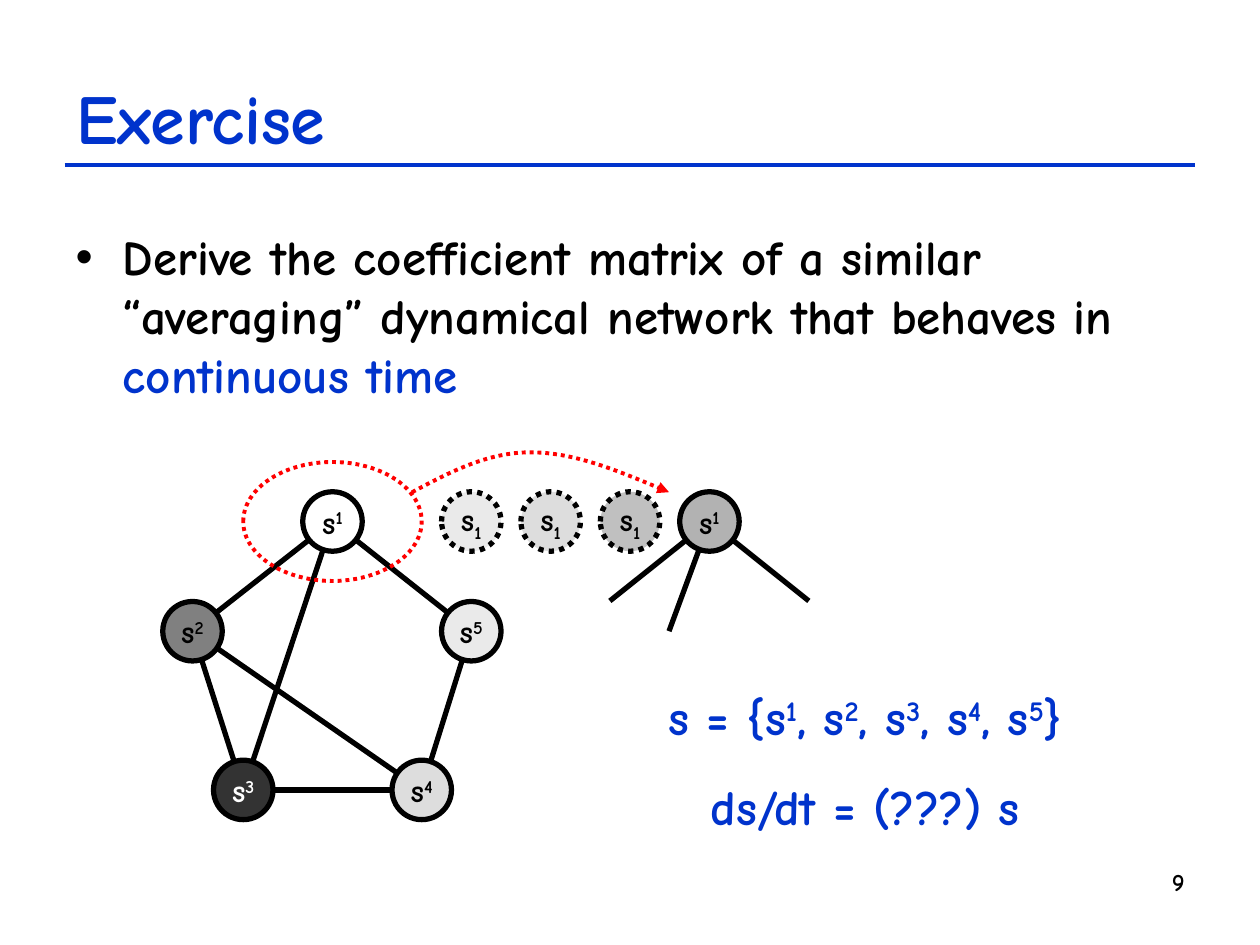
"""Build the exercise slide on a continuous-time averaging network."""
from lxml import etree
from pptx import Presentation
from pptx.dml.color import RGBColor
from pptx.enum.dml import MSO_LINE
from pptx.enum.shapes import MSO_CONNECTOR, MSO_SHAPE
from pptx.enum.text import MSO_ANCHOR, MSO_AUTO_SIZE, PP_ALIGN
from pptx.oxml.ns import qn
from pptx.util import Pt

LINE = MSO_CONNECTOR.STRAIGHT
OVAL = MSO_SHAPE.OVAL
DOTS = MSO_LINE.ROUND_DOT
MID = MSO_ANCHOR.MIDDLE
FIXED = MSO_AUTO_SIZE.NONE
LEFT, CENTER, RIGHT = PP_ALIGN.LEFT, PP_ALIGN.CENTER, PP_ALIGN.RIGHT

HUES = {"blue": "0033CC", "black": "000000", "white": "FFFFFF", "red": "FF0000",
        "coal": "333333", "gray": "808080", "ash": "B2B2B2", "silver": "C0C0C0",
        "pale": "DDDDDD", "mist": "EAEAEA"}
RGB = {name: RGBColor.from_string(code) for name, code in HUES.items()}
SIZE = 34


def write(para, parts, size, hue, align):
    """Fill a paragraph with (text, baseline percent) parts."""
    para.alignment = align
    font = para.font
    font.name, font.size, font.bold = "Comic Neue", Pt(size), True
    font.color.rgb = RGB[hue]
    for text, base in parts:
        run = para.add_run()
        run.text = text
        if base:
            run._r.get_or_add_rPr().set("baseline", str(base * 1000))


def join(shapes, start, end, hue="black", width=3):
    """Draw a straight line between two points."""
    link = shapes.add_connector(LINE, *map(Pt, start + end))
    link.line.color.rgb = RGB[hue]
    link.line.width = Pt(width)
    etree.SubElement(link._element.spPr, qn("a:effectLst"))


deck = Presentation()
deck.slide_width, deck.slide_height = Pt(720), Pt(540)
slide = deck.slides.add_slide(deck.slide_layouts[1])
shapes = slide.shapes
title, body = slide.placeholders

for box, place in ((title, (36.5, 21.5, 647, 90)), (body, (36, 126, 648, 356.5))):
    box.left, box.top, box.width, box.height = map(Pt, place)
    box.text_frame.auto_size = FIXED
title.text_frame.vertical_anchor = MID
write(title.text_frame.paragraphs[0], [("Exercise", 0)], 40, "blue", LEFT)
task = body.text_frame.paragraphs[0]
task.space_before = Pt(7)
write(task, [("Derive the coefficient matrix of a similar “averaging” dynamical "
              "network that behaves in ", 0), ("continuous time", 0)], 28, "black", LEFT)
task.runs[1].font.color.rgb = RGB["blue"]
join(shapes, (37, 94.5), (683, 94.5), "blue", 2.25)

page = shapes.add_textbox(Pt(615), Pt(492), Pt(69), Pt(37)).text_frame
page.word_wrap = True
write(page.paragraphs[0], [("9", 0)], 14, "black", RIGHT)

state = [("s = {s", 0)]
for num in range(1, 6):
    state += [(str(num), 30), (", s" if num < 5 else "}", 0)]
math = shapes.add_textbox(Pt(314.5), Pt(389), Pt(360), Pt(92)).text_frame
math.word_wrap = True
for para, parts in ((math.paragraphs[0], state),
                    (math.add_paragraph(), [("ds/dt = (???) s", 0)])):
    para.space_before = Pt(17.5)
    write(para, parts, 28, "blue", CENTER)

spots = {1: (190, 298), 2: (110, 360.7), 3: (139, 451.4), 4: (241, 451.4), 5: (269.3, 360.7)}
fills = {1: "white", 2: "gray", 3: "coal", 4: "pale", 5: "mist"}
edges = [(2, 1), (5, 1), (2, 3), (5, 4), (3, 4), (1, 3), (2, 4)]
hub = (405.4, 298)
group = shapes.add_group_shape().shapes

for one, two in edges:
    join(shapes, spots[one], spots[two])
for end in ((348.5, 343.4), (462.2, 343.4), (382.3, 360.7)):
    join(group, hub, end)

ghosts = [(shapes, (hub[0] - 45.36 * step, hub[1]), hue, 1, True)
          for step, hue in enumerate(("silver", "pale", "mist"), 1)]
nodes = [(shapes, spots[num], fills[num], num, False) for num in spots]
for home, (x, y), hue, num, ghost in ghosts + nodes + [(group, hub, "ash", 1, False)]:
    node = home.add_shape(OVAL, Pt(x - SIZE / 2), Pt(y - SIZE / 2), Pt(SIZE), Pt(SIZE))
    node.shadow.inherit = False
    node.fill.solid()
    node.fill.fore_color.rgb = RGB[hue]
    node.line.color.rgb = RGB["black"]
    node.line.width = Pt(3)
    if ghost:
        node.line.dash_style = DOTS
    frame = node.text_frame
    frame.word_wrap = False
    frame.vertical_anchor = MID
    ink = "white" if hue == "coal" else "black"
    write(frame.paragraphs[0], [("s", 0), (str(num), -25 if ghost else 30)], 18, ink, CENTER)

ring = shapes.add_shape(OVAL, Pt(139), Pt(264), Pt(102), Pt(68))
pen = group.build_freeform(Pt(235.5), Pt(281.3))
pen.add_line_segments([(Pt(x), Pt(y)) for x, y in (
    (257, 269.8), (278.6, 258.5), (303, 258.5),
    (327.6, 258.5), (355, 269.8), (382.3, 281.3))], close=False)
arc = pen.convert_to_shape()
for shape in (ring, arc):
    shape.shadow.inherit = False
    shape.fill.background()
    shape.line.color.rgb = RGB["red"]
    shape.line.width = Pt(2.25)
    shape.line.dash_style = DOTS

path = arc._element.spPr.find(".//" + qn("a:path"))
steps = path.findall(qn("a:lnTo"))
for first in (0, 3):
    curve = etree.SubElement(path, qn("a:cubicBezTo"))
    for step in steps[first:first + 3]:
        curve.append(step[0])
        path.remove(step)
etree.SubElement(arc.line._get_or_add_ln(), qn("a:tailEnd"), type="triangle")

deck.save("out.pptx")
